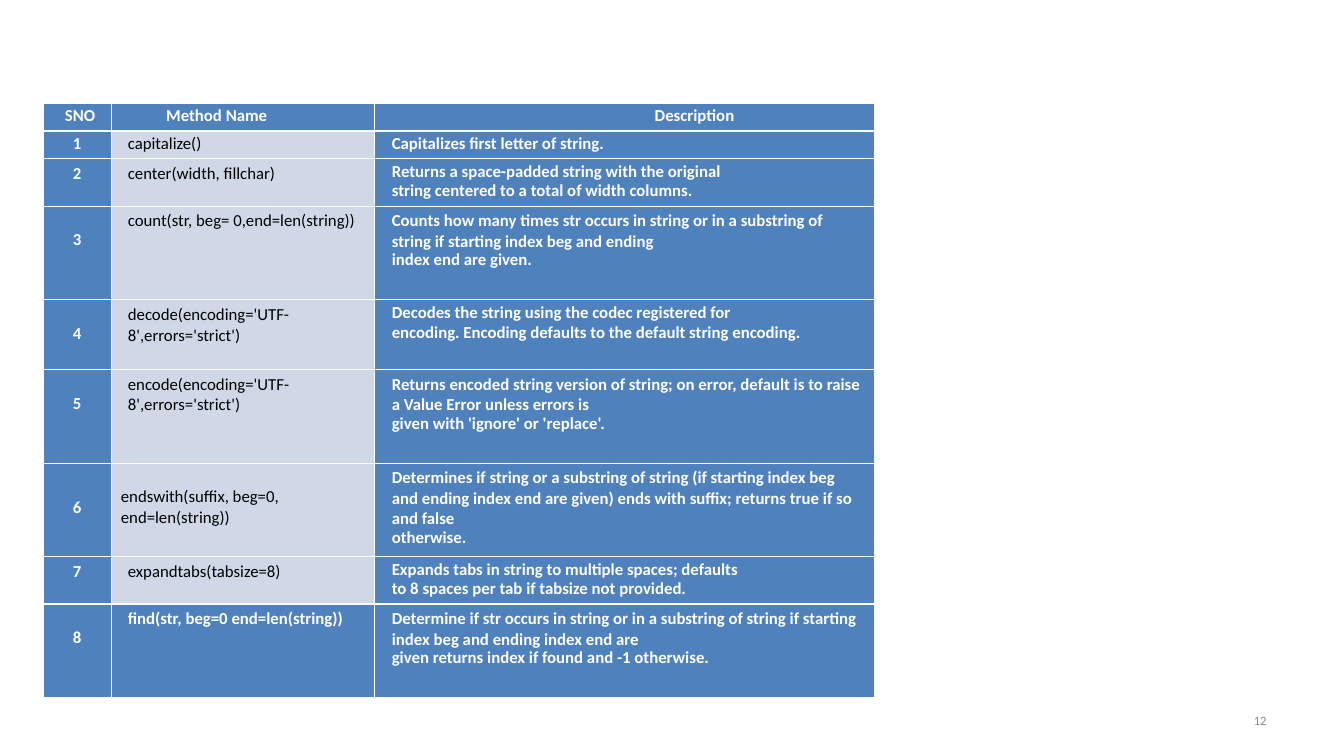
from lxml import etree
from pptx import Presentation
from pptx import util as u
from pptx.dml.color import RGBColor
from pptx.enum import text
from pptx.oxml import ns

BLUE = RGBColor(0x4F, 0x81, 0xBD)
PALE = RGBColor(0xD0, 0xD8, 0xE8)
WHITE = RGBColor(0xFF, 0xFF, 0xFF)
BLACK = RGBColor(0x00, 0x00, 0x00)
GREY = RGBColor(0x89, 0x89, 0x89)

LEFT, MID, RIGHT = text.PP_ALIGN.LEFT, text.PP_ALIGN.CENTER, text.PP_ALIGN.RIGHT
COLS = [6.7, 26.2, 49.6]
ROWS = [2.3, 2.3, 4.6, 9.3, 6.9, 9.3, 9.3, 4.5, 9.3]
THIN, THICK = 0.45, 1.47
TOP, LOW, DEEP = 0.5, 2.4, 3.4
HEADS = [("SNO", MID, 1.6), ("Method Name", LEFT, 5.5), ("Description", MID, 14.9)]

METHODS = [
    ("capitalize()", TOP, TOP, [("Capitalizes first letter of string.", 12.7)]),
    ("center(width, fillchar)", TOP, TOP,
     [("Returns a space-padded string with the original", 13.3),
      ("string centered to a total of width columns.", 13.2)]),
    ("count(str, beg= 0,end=len(string))", TOP, LOW,
     [("Counts how many times str occurs in string or in a substring of string "
       "if starting index beg and ending", None),
      ("index end are given.", 13.2)]),
    ("decode(encoding='UTF- 8',errors='strict')", TOP, LOW,
     [("Decodes the string using the codec registered for", 13.5),
      ("encoding. Encoding defaults to the default string encoding.", 13.8)]),
    ("encode(encoding='UTF- 8',errors='strict')", TOP, LOW,
     [("Returns encoded string version of string; on error, default is to raise "
       "a Value Error unless errors is", None),
      ("given with 'ignore' or 'replace'.", 13.2)]),
    ("endswith(suffix, beg=0, end=len(string))", LOW, DEEP,
     [("Determines if string or a substring of string (if starting index beg and "
       "ending index end are given) ends with suffix; returns true if so and false", None),
      ("otherwise.", 13.2)]),
    ("expandtabs(tabsize=8)", TOP, TOP,
     [("Expands tabs in string to multiple spaces; defaults", 13.3),
      ("to 8 spaces per tab if tabsize not provided.", 13.2)]),
    ("find(str, beg=0 end=len(string))", TOP, LOW,
     [("Determine if str occurs in string or in a substring of string if starting "
       "index beg and ending index end are", None),
      ("given returns index if found and -1 otherwise.", 13.2)]),
]


class Deck:
    """Holds the style and current slide, on a grid of tenths of an inch."""

    font = {"name": "Calibri", "size": u.Pt(12), "bold": True}

    def __init__(self, wide, high):
        self.prs = Presentation()
        self.prs.slide_width, self.prs.slide_height = self.grid(wide), self.grid(high)
        self.slide = self.prs.slides.add_slide(self.prs.slide_layouts[6])

    def grid(self, units):
        return u.Inches(units / 10)

    def apply(self, item, style):
        for key, value in style.items():
            setattr(item, key, value)

    def fill(self, frame, lines, align, ink, **font):
        for i, (words, pitch) in enumerate(lines):
            para = frame.add_paragraph() if i else frame.paragraphs[0]
            para.alignment = align
            if pitch:
                para.line_spacing = u.Pt(pitch)
            run = para.add_run()
            run.text = words
            self.apply(run.font, {**self.font, **font})
            run.font.color.rgb = ink

    def table(self, left, top, cols, rows):
        box = [self.grid(n) for n in (left, top, sum(cols), sum(rows))]
        table = self.slide.shapes.add_table(len(rows), len(cols), *box).table
        self.apply(table, {"first_row": False, "horz_banding": False})
        for col, wide in zip(table.columns, cols):
            col.width = self.grid(wide)
        for row, high in zip(table.rows, rows):
            row.height = self.grid(high)
        return table

    def cell(self, cell, lines, align=LEFT, back=BLUE, ink=WHITE,
             left=1.7, top=TOP, edges=(THIN, THIN), **font):
        cell.fill.solid()
        cell.fill.fore_color.rgb = back
        self.apply(cell, {"margin_left": self.grid(left), "margin_top": self.grid(top)})
        self.border(cell, edges)
        self.fill(cell.text_frame, lines, align, ink, **font)

    def border(self, cell, edges):
        props = cell._tc.get_or_add_tcPr()
        for i, (side, wide) in enumerate(zip("LRTB", (THIN, THIN, *edges))):
            line = etree.Element(ns.qn(f"a:ln{side}"), w=str(u.Pt(wide)))
            solid = etree.SubElement(line, ns.qn("a:solidFill"))
            etree.SubElement(solid, ns.qn("a:srgbClr"), val=str(WHITE))
            props.insert(i, line)

    def label(self, words, left, top, wide, high, align, ink, **font):
        box = self.slide.shapes.add_textbox(*map(self.grid, (left, top, wide, high)))
        self.apply(box.text_frame, {"word_wrap": True,
                                    "vertical_anchor": text.MSO_ANCHOR.MIDDLE})
        self.fill(box.text_frame, [(words, None)], align, ink, **font)


def main():
    deck = Deck(133.4, 75)
    table = deck.table(4.3, 10.2, COLS, ROWS)
    for col, (words, align, left) in enumerate(HEADS):
        deck.cell(table.cell(0, col), [(words, 12.7)], align, left=left,
                  edges=(THIN, THICK))

    last = len(METHODS)
    for row, (name, drop, sink, lines) in enumerate(METHODS, 1):
        edges = (THICK if row in (1, last) else THIN, THICK if row == last - 1 else THIN)
        pitch = 12.7 if row == 1 else None
        plain = {} if row == last else {"back": PALE, "ink": BLACK, "bold": False}
        number, method, about = (table.cell(row, col) for col in range(3))
        deck.cell(number, [(str(row), pitch)], MID, left=1, top=sink, edges=edges)
        deck.cell(method, [(name, pitch)], left=1.7 if drop == TOP else 1,
                  top=drop, edges=edges, **plain)
        deck.cell(about, lines, edges=edges)

    deck.label("12", 95.6, 69.5, 31.1, 4, RIGHT, GREY, size=u.Pt(9), bold=False)
    deck.prs.save("out.pptx")


if __name__ == "__main__":
    main()
